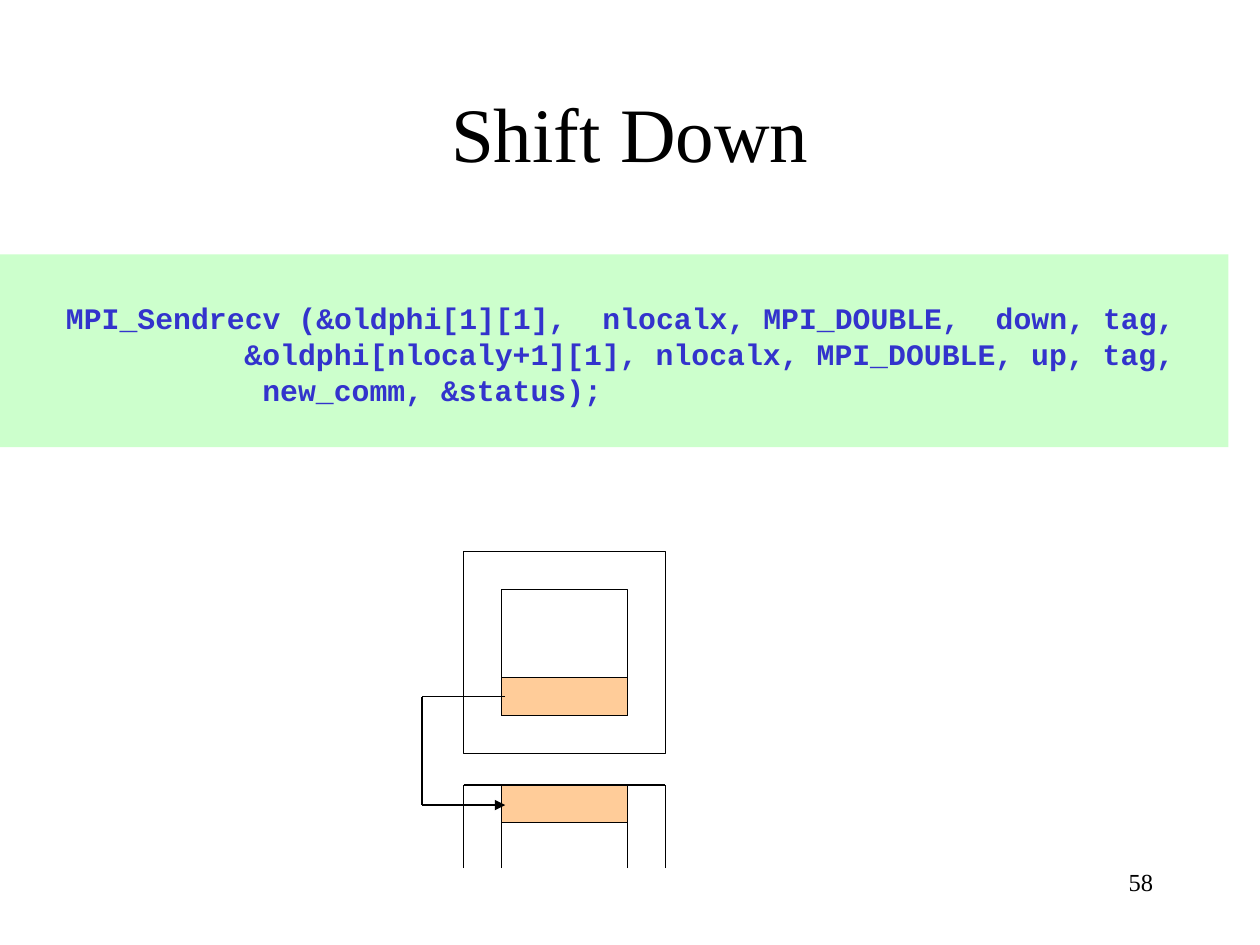
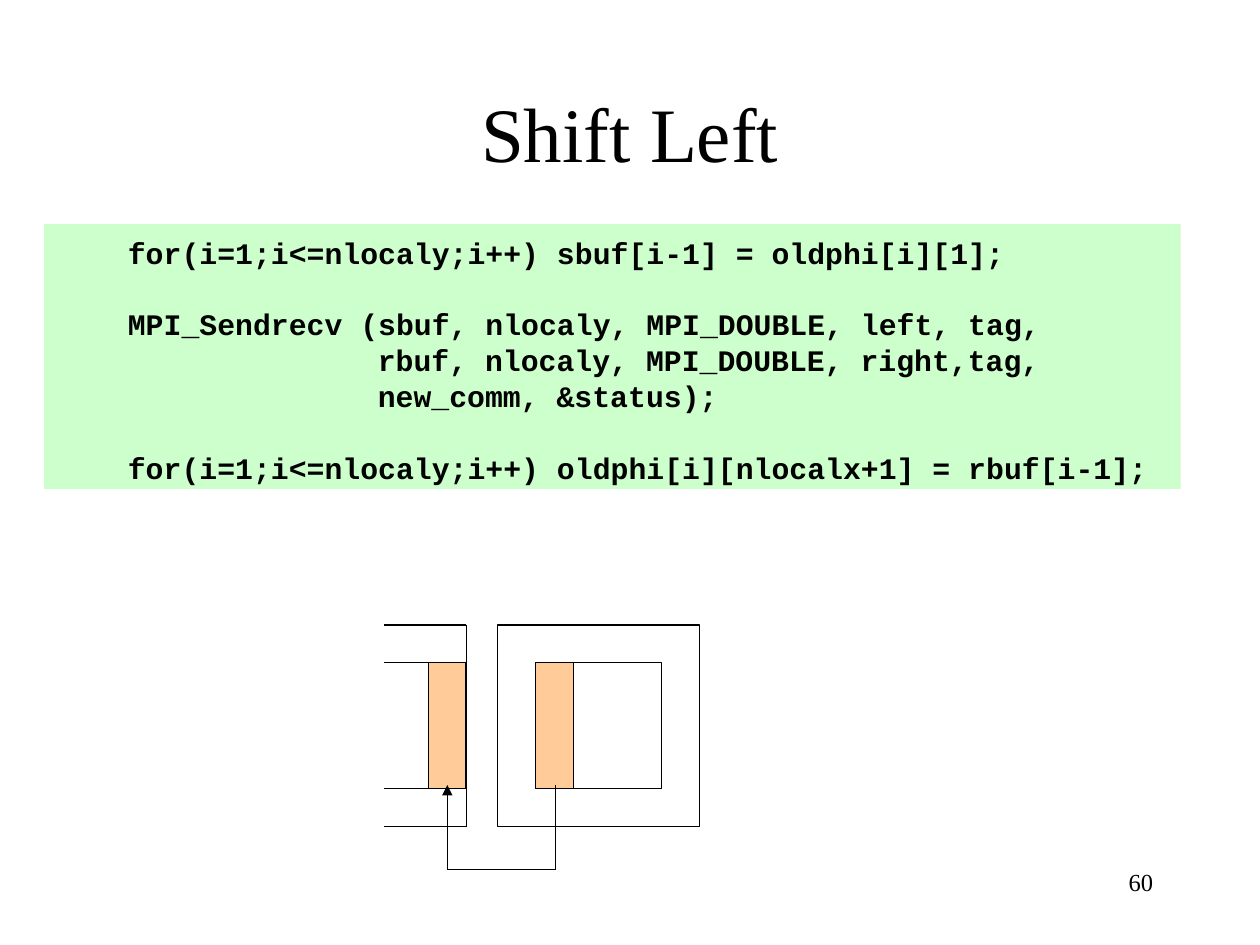
from itertools import pairwise

from lxml import etree
from pptx import Presentation
from pptx.dml.color import RGBColor
from pptx.enum import shapes, text
from pptx.oxml.ns import qn
from pptx.util import Inches, Pt

INK, BLUE, GREEN, PEACH = "000000", "3333CC", "CCFFCC", "FFCC99"
SERIF, MONO = "Times New Roman", "Courier New"
CODE_SIZE, CODE_PITCH = 17, 20.5
CHAR_WIDTH = CODE_SIZE * 0.6
CELL, INNER = 0.3, 1
OUTER = INNER + 2 * CELL


def color(value):
    return RGBColor.from_string(value)


class Deck:
    """Holds the shared style and the slide being built."""

    def __init__(self):
        self.prs = Presentation()
        self.prs.slide_width, self.prs.slide_height = Inches(10), Inches(7.5)

    def new_slide(self, title, number):
        self.slide = self.prs.slides.add_slide(self.prs.slide_layouts[6])
        self.label(title, (0.75, 0.42, 8.5, 1.25), 44, text.PP_ALIGN.CENTER, text.MSO_ANCHOR.MIDDLE)
        self.label(number, (7.17, 6.83, 2.08, 0.5), 14, text.PP_ALIGN.RIGHT, text.MSO_ANCHOR.TOP)

    def run(self, paragraph, words, font, size, ink=INK, bold=False):
        run = paragraph.add_run()
        run.text = words
        run.font.name, run.font.size, run.font.bold = font, Pt(size), bold
        run.font.color.rgb = color(ink)

    def label(self, words, place, size, align, anchor):
        frame = self.slide.shapes.add_textbox(*map(Inches, place)).text_frame
        frame.word_wrap = True
        frame.vertical_anchor = anchor
        frame.paragraphs[0].alignment = align
        self.run(frame.paragraphs[0], words, SERIF, size)

    def box(self, place, fill=None, outlined=True):
        shape = self.slide.shapes.add_shape(shapes.MSO_SHAPE.RECTANGLE, *map(Inches, place))
        shape.shadow.inherit = False
        if fill:
            shape.fill.solid()
            shape.fill.fore_color.rgb = color(fill)
        else:
            shape.fill.background()
        if outlined:
            shape.line.color.rgb = color(INK)
            shape.line.width = Pt(0.75)
        else:
            shape.line.fill.background()
        return shape

    def code(self, place, lines, ink=INK, top=0.08):
        """Lines are (indent in characters, blank lines before, words)."""
        frame = self.box(place, GREEN, outlined=False).text_frame
        frame.word_wrap = True
        frame.vertical_anchor = text.MSO_ANCHOR.TOP
        frame.margin_top = Inches(top)
        for index, (indent, gap, words) in enumerate(lines):
            paragraph = frame.add_paragraph() if index else frame.paragraphs[0]
            paragraph.alignment = text.PP_ALIGN.LEFT
            paragraph.line_spacing = Pt(CODE_PITCH)
            paragraph.space_before = Pt(gap * CODE_PITCH)
            paragraph._p.get_or_add_pPr().set("marL", str(Pt(indent * CHAR_WIDTH)))
            self.run(paragraph, words, MONO, CODE_SIZE, ink, True)

    def route(self, *points, arrow=False):
        for start, end in pairwise(points):
            line = self.slide.shapes.add_connector(
                shapes.MSO_CONNECTOR.STRAIGHT, *map(Inches, start + end))
            line.line.color.rgb = color(INK)
            line.line.width = Pt(0.75)
            properties = line._element.spPr
            if arrow and end == points[-1]:
                etree.SubElement(properties.get_or_add_ln(), qn("a:tailEnd"), type="triangle")
            etree.SubElement(properties, qn("a:effectLst"))

    def domain(self, left, top):
        self.box((left, top, OUTER, OUTER))
        self.box((left + CELL, top + CELL, INNER, INNER))


def offsets(start):
    return [start, start + CELL, start + CELL + INNER, start + OUTER]


def shift_down(deck):
    deck.new_slide("Shift Down", "58")
    left, top, neighbour, cut, bend = 3.68, 4.38, 6.23, 6.89, 3.35
    inner = left + CELL
    sent = top + INNER
    deck.domain(left, top)
    deck.box((inner, sent, INNER, CELL), PEACH)
    deck.route((left, neighbour), (left + OUTER, neighbour))
    deck.box((inner, neighbour, INNER, CELL), PEACH)
    for x in offsets(left):
        deck.route((x, cut), (x, neighbour))
    deck.route((4.01, sent + CELL / 2), (bend, sent + CELL / 2),
               (bend, 6.39), (4.01, 6.39), arrow=True)
    deck.code((0, 2.02, 9.75, 1.53), [
        (3, 0, "MPI_Sendrecv (&oldphi[1][1],  nlocalx, MPI_DOUBLE,  down, tag,"),
        (13, 0, "&oldphi[nlocaly+1][1], nlocalx, MPI_DOUBLE, up, tag,"),
        (14, 0, "new_comm, &status);"),
    ], BLUE, top=0.36)


def shift_left(deck):
    deck.new_slide("Shift Left", "60")
    deck.code((0.35, 1.78, 9.02, 2.1), [
        (4, 0, "for(i=1;i<=nlocaly;i++) sbuf[i-1] = oldphi[i][1];"),
        (4, 1, "MPI_Sendrecv (sbuf, nlocaly, MPI_DOUBLE, left, tag,"),
        (18, 0, "rbuf, nlocaly, MPI_DOUBLE, right,tag,"),
        (18, 0, "new_comm, &status);"),
        (4, 1, "for(i=1;i<=nlocaly;i++) oldphi[i][nlocalx+1] = rbuf[i-1];"),
    ])
    left, top, neighbour, cut, bend = 3.95, 4.96, 3.7, 3.05, 6.9
    inner = top + CELL
    deck.domain(left, top)
    deck.box((left + CELL, inner, CELL, INNER), PEACH)
    deck.route((neighbour, top + OUTER), (neighbour, top))
    deck.box((neighbour - CELL, inner, CELL, INNER), PEACH)
    for y in offsets(top):
        deck.route((cut, y), (neighbour, y))
    deck.route((4.41, 6.23), (4.41, bend), (3.55, bend), (3.55, 6.23), arrow=True)


def main():
    deck = Deck()
    shift_down(deck)
    shift_left(deck)
    deck.prs.save("out.pptx")


if __name__ == "__main__":
    main()
